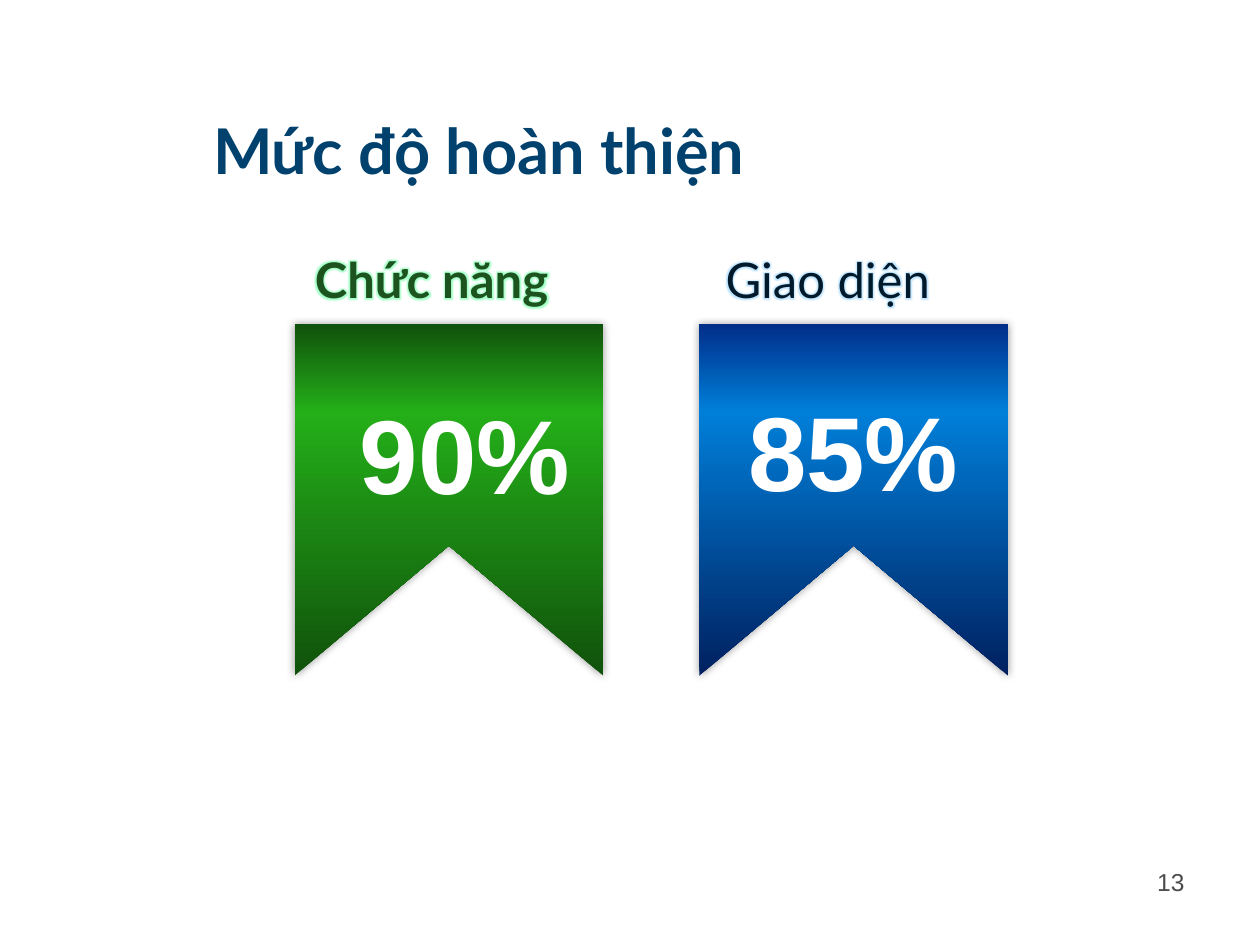
from lxml.etree import SubElement, Element
from pptx import Presentation
from pptx.dml.color import RGBColor
from pptx.enum.text import MSO_ANCHOR, MSO_AUTO_SIZE, PP_ALIGN
from pptx.oxml.ns import qn
from pptx.util import Cm, Pt

# Content: box is left, top, width, height in cm
HUES = {"title": "00416E", "green": "1D531E", "navy": "001A2C",
        "white": "FFFFFF", "grey": "4C4C4C", "black": "000000",
        "mint": "66FFA3", "sky": "99D6FF"}
TITLE = ("Mức độ hoàn thiện", (4.04, 2.13, 11.48, 1.8),
         {"size": 36, "bold": True, "hue": "title", "wrap": False})
LABELS = [
    ("Chức năng", (6.1, 4.88, 6.22, 1.47),
     {"size": 28, "bold": True, "hue": "green", "glow": "mint",
      "anchor": MSO_ANCHOR.MIDDLE}),
    ("Giao diện", (14.38, 4.9, 5.49, 1.45),
     {"size": 28, "hue": "navy", "glow": "sky", "wrap": False}),
    ("13", (18.21, 17.35, 5.92, 1.32),
     {"name": "Arial", "size": 14, "hue": "grey", "align": PP_ALIGN.RIGHT}),
]
SCORE = {"name": "Arial", "size": 60, "bold": True, "hue": "white",
         "align": PP_ALIGN.CENTER}
SCORES = [("90%", (6.83, 7.72, 5.08, 2.82), SCORE),
          ("85%", (14.66, 7.67, 5.08, 2.82), SCORE)]
# Ribbons: left edge, gradient from bottom to top
RIBBONS = [(5.94, ("10510B", "24AF19", "10510B")),
           (14.1, ("002060", "007FD9", "002E89"))]
TOP, WIDE, HIGH, NOTCH = 6.53, 6.22, 7.09, 4.47
STOPS = (0, 75, 100)


def add_hue(node, hue, alpha=100):
    tint = SubElement(node, qn("a:srgbClr"), val=hue)
    if alpha < 100:
        SubElement(tint, qn("a:alpha"), val=str(alpha * 1000))


def add_ribbon(slide, left, hues):
    pts = [(0, 0), (WIDE, 0), (WIDE, HIGH), (WIDE / 2, NOTCH), (0, HIGH)]
    pts = [(Cm(left + x), Cm(TOP + y)) for x, y in pts]
    pen = slide.shapes.build_freeform(*pts[0])
    pen.add_line_segments(pts[1:], close=True)
    shape = pen.convert_to_shape()
    shape.line.fill.background()
    # Three-stop gradient, running upward
    grad = Element(qn("a:gradFill"), rotWithShape="1")
    stops = SubElement(grad, qn("a:gsLst"))
    for pos, hue in zip(STOPS, hues):
        add_hue(SubElement(stops, qn("a:gs"), pos=str(pos * 1000)), hue)
    SubElement(grad, qn("a:lin"), ang=str(270 * 60000), scaled="0")
    props = shape.element.spPr
    props.find(qn("a:custGeom")).addnext(grad)
    # Soft shadow all round
    shape.shadow.inherit = False
    shade = SubElement(props.find(qn("a:effectLst")), qn("a:outerShdw"),
                       blurRad=str(Pt(5)), dist="0", dir="0",
                       algn="ctr", rotWithShape="0")
    add_hue(shade, HUES["black"], 40)


def add_glow(run, hue):
    effect = Element(qn("a:effectLst"))
    add_hue(SubElement(effect, qn("a:glow"), rad=str(Pt(5))), hue, 60)
    run.font.fill._xPr.find(qn("a:solidFill")).addnext(effect)


def put_text(shape, text, box, look):
    for key, val in zip(("left", "top", "width", "height"), box):
        setattr(shape, key, Cm(val))
    frame = shape.text_frame
    form = {"word_wrap": look.get("wrap", True),
            "auto_size": MSO_AUTO_SIZE.NONE,
            "vertical_anchor": look.get("anchor", MSO_ANCHOR.TOP)}
    for key, val in form.items():
        setattr(frame, key, val)
    para = frame.paragraphs[0]
    para.alignment = look.get("align", PP_ALIGN.LEFT)
    run = para.add_run()
    run.text = text
    font = {"name": look.get("name", "Lato"), "size": Pt(look["size"]),
            "bold": look.get("bold", False)}
    for key, val in font.items():
        setattr(run.font, key, val)
    run.font.color.rgb = RGBColor.from_string(HUES[look["hue"]])
    if "glow" in look:
        add_glow(run, HUES[look["glow"]])


def main():
    deck = Presentation()
    deck.slide_width, deck.slide_height = Cm(25.4), Cm(19.05)
    slide = deck.slides.add_slide(deck.slide_layouts[5])
    for left, hues in RIBBONS:
        add_ribbon(slide, left, hues)
    put_text(slide.shapes.title, *TITLE)
    for text, box, look in SCORES + LABELS:
        shape = slide.shapes.add_textbox(0, 0, 0, 0)
        put_text(shape, text, box, look)
    deck.save("out.pptx")


if __name__ == "__main__":
    main()
